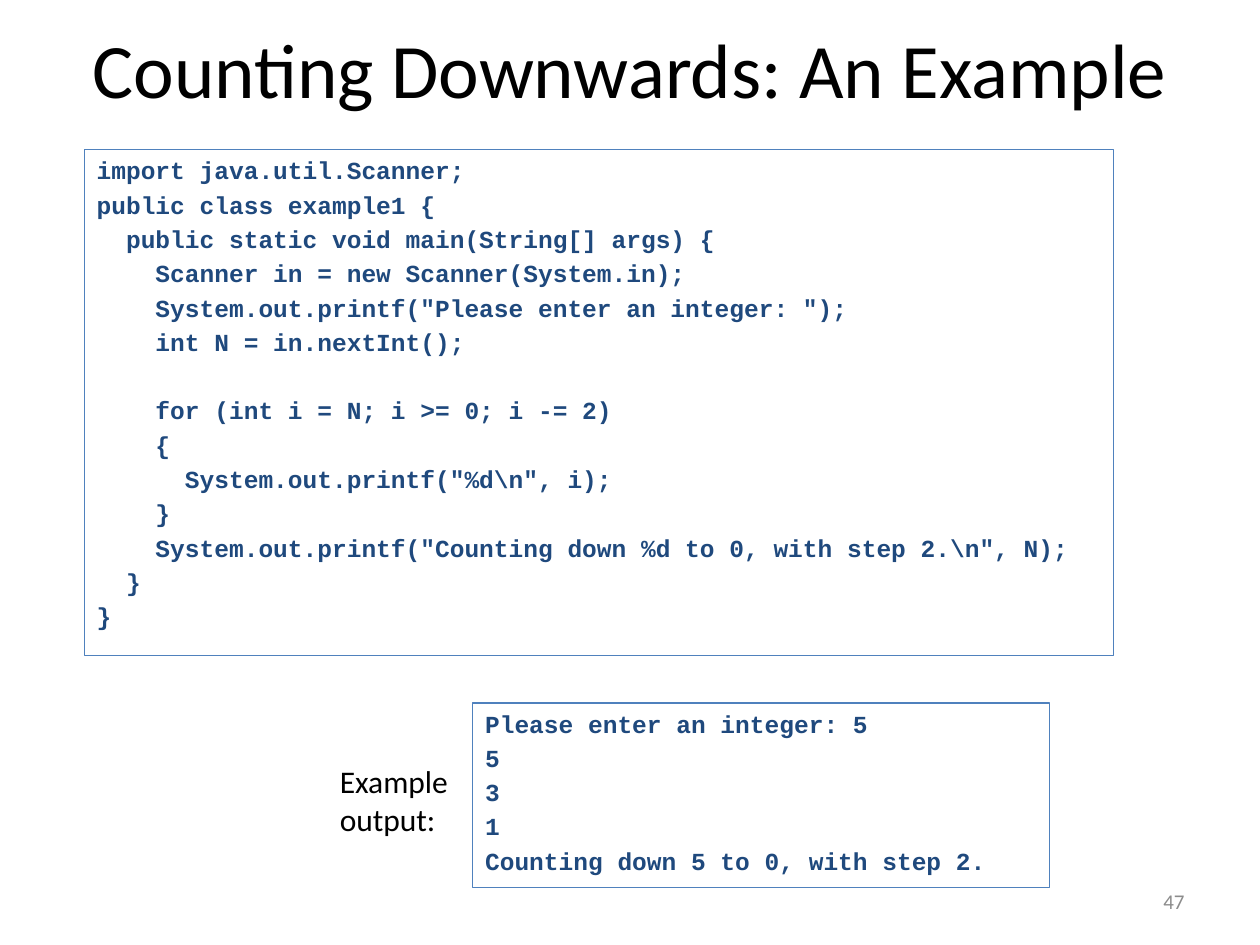
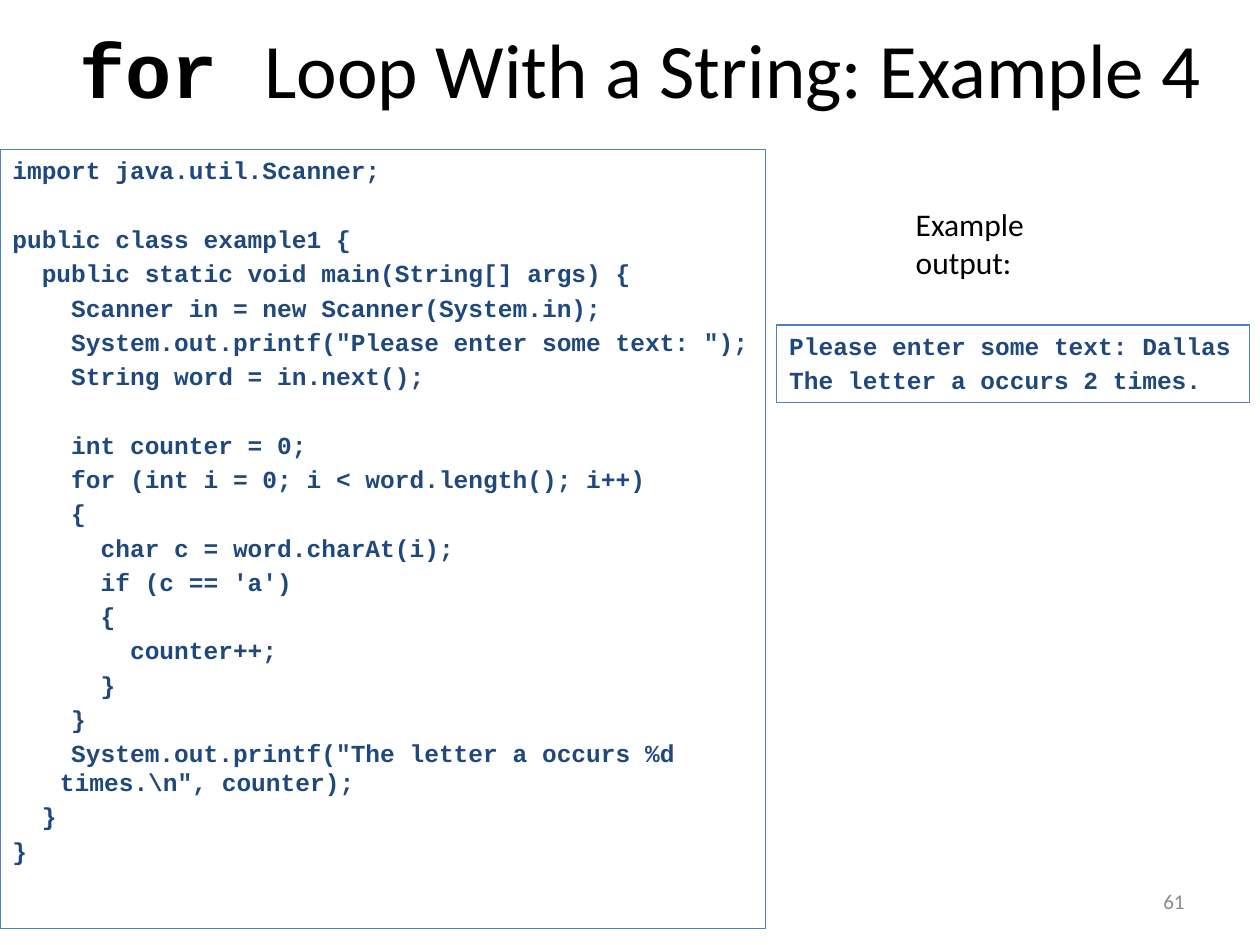
from dataclasses import dataclass

from pptx import Presentation
from pptx.dml.color import RGBColor
from pptx.enum.shapes import MSO_SHAPE
from pptx.enum.text import MSO_ANCHOR, PP_ALIGN
from pptx.shapes.base import BaseShape
from pptx.slide import Slide
from pptx.text.text import TextFrame, _Paragraph
from pptx.util import Cm, Pt

HUES = {"ink": "000000", "code": "1F497D", "edge": "4F81BD", "page": "8C8C8C"}

FONTS = {
    "title": {"name": "Calibri", "size": Pt(44), "bold": False},
    "word": {"name": "Courier New", "size": Pt(44), "bold": True},
    "code": {"name": "Courier New", "size": Pt(14), "bold": True},
    "label": {"name": "Calibri", "size": Pt(18), "bold": False},
    "page": {"name": "Calibri", "size": Pt(12), "bold": False},
}

PITCH = 16.5
SPACE = 3.1
INDENT = Cm(0.96)


@dataclass
class Box:
    left: float
    top: float
    width: float
    height: float

    def sides(self) -> tuple[Cm, Cm, Cm, Cm]:
        return Cm(self.left), Cm(self.top), Cm(self.width), Cm(self.height)


@dataclass
class Panel:
    box: Box
    text: str


@dataclass
class Lesson:
    title: list[tuple[str, str]]
    span: float
    page: str
    panels: list[Panel]
    label: Box


PAGE = Box(18.21, 17.65, 5.92, 1.02)

COUNT = r"""import java.util.Scanner;
public class example1 {
  public static void main(String[] args) {
    Scanner in = new Scanner(System.in);
    System.out.printf("Please enter an integer: ");
    int N = in.nextInt();

    for (int i = N; i >= 0; i -= 2)
    {
      System.out.printf("%d\n", i);
    }
    System.out.printf("Counting down %d to 0, with step 2.\n", N);
  }
}"""

COUNT_OUT = """Please enter an integer: 5
5
3
1
Counting down 5 to 0, with step 2."""

SEARCH = r"""import java.util.Scanner;

public class example1 {
  public static void main(String[] args) {
    Scanner in = new Scanner(System.in);
    System.out.printf("Please enter some text: ");
    String word = in.next();

    int counter = 0;
    for (int i = 0; i < word.length(); i++)
    {
      char c = word.charAt(i);
      if (c == 'a')
      {
        counter++;
      }
    }
    System.out.printf("The letter a occurs %d times.\n", counter);
  }
}"""

SEARCH_OUT = """Please enter some text: Dallas
The letter a occurs 2 times."""

LESSONS = [
    Lesson(
        [("Counting Downwards: An Example", "title")],
        22.86,
        "47",
        [
            Panel(Box(1.7, 3.02, 20.75, 10.19), COUNT),
            Panel(Box(9.53, 14.17, 11.63, 3.73), COUNT_OUT),
        ],
        Box(6.6, 15.24, 2.72, 1.8),
    ),
    Lesson(
        [("for ", "word"), ("Loop With a String: Example 4", "title")],
        23.29,
        "61",
        [
            Panel(Box(0, 3.02, 15.44, 15.7), SEARCH),
            Panel(Box(15.66, 6.55, 9.53, 1.57), SEARCH_OUT),
        ],
        Box(18.21, 4.01, 2.72, 1.8),
    ),
]


def assign(target: object, values: dict) -> None:
    for name, value in values.items():
        setattr(target, name, value)


def add_run(para: _Paragraph, text: str, style: str, hue: str) -> None:
    run = para.add_run()
    run.text = text
    assign(run.font, FONTS[style])
    run.font.color.rgb = RGBColor.from_string(HUES[hue])


def add_box(slide: Slide, box: Box, **frame: object) -> TextFrame:
    body = slide.shapes.add_textbox(*box.sides()).text_frame
    assign(body, {"word_wrap": True, **frame})
    return body


def add_title(slide: Slide, lesson: Lesson) -> None:
    box = Box(1.27, 0.2, lesson.span, 2.34)
    para = add_box(slide, box, vertical_anchor=MSO_ANCHOR.MIDDLE).paragraphs[0]
    para.alignment = PP_ALIGN.CENTER
    for text, style in lesson.title:
        add_run(para, text, style, "ink")


def add_page(slide: Slide, page: str) -> None:
    para = add_box(slide, PAGE, vertical_anchor=MSO_ANCHOR.MIDDLE).paragraphs[0]
    para.alignment = PP_ALIGN.RIGHT
    add_run(para, page, "page", "page")


def add_label(slide: Slide, box: Box) -> None:
    para = add_box(slide, box, word_wrap=False).paragraphs[0]
    add_run(para, "Example\voutput:", "label", "ink")
    first, last = "Example", "output:"
    para.runs[0].text = first
    para.add_line_break()
    add_run(para, last, "label", "ink")


def add_code(body: TextFrame, text: str) -> None:
    para, gap = body.paragraphs[0], 0.0
    for line in text.split("\n"):
        if not line:
            gap += PITCH + SPACE
            continue
        if para.runs:
            para = body.add_paragraph()
            gap += SPACE
        props = para._p.get_or_add_pPr()
        props.set("marL", str(INDENT))
        props.set("indent", str(-INDENT))
        assign(para, {
            "alignment": PP_ALIGN.LEFT,
            "line_spacing": Pt(PITCH),
            "space_before": Pt(gap),
        })
        add_run(para, line, "code", "code")
        gap = 0.0


def add_panel(slide: Slide, panel: Panel) -> BaseShape:
    shape = slide.shapes.add_shape(MSO_SHAPE.RECTANGLE, *panel.box.sides())
    shape.shadow.inherit = False
    shape.fill.background()
    shape.line.color.rgb = RGBColor.from_string(HUES["edge"])
    shape.line.width = Pt(0.75)
    assign(shape.text_frame, {"word_wrap": True, "vertical_anchor": MSO_ANCHOR.TOP})
    add_code(shape.text_frame, panel.text)
    return shape


def main() -> None:
    deck = Presentation()
    assign(deck, {"slide_width": Cm(25.4), "slide_height": Cm(19.05)})
    for lesson in LESSONS:
        slide = deck.slides.add_slide(deck.slide_layouts[6])
        add_title(slide, lesson)
        add_page(slide, lesson.page)
        for panel in lesson.panels:
            add_panel(slide, panel)
        add_label(slide, lesson.label)
    deck.save("out.pptx")


if __name__ == "__main__":
    main()
